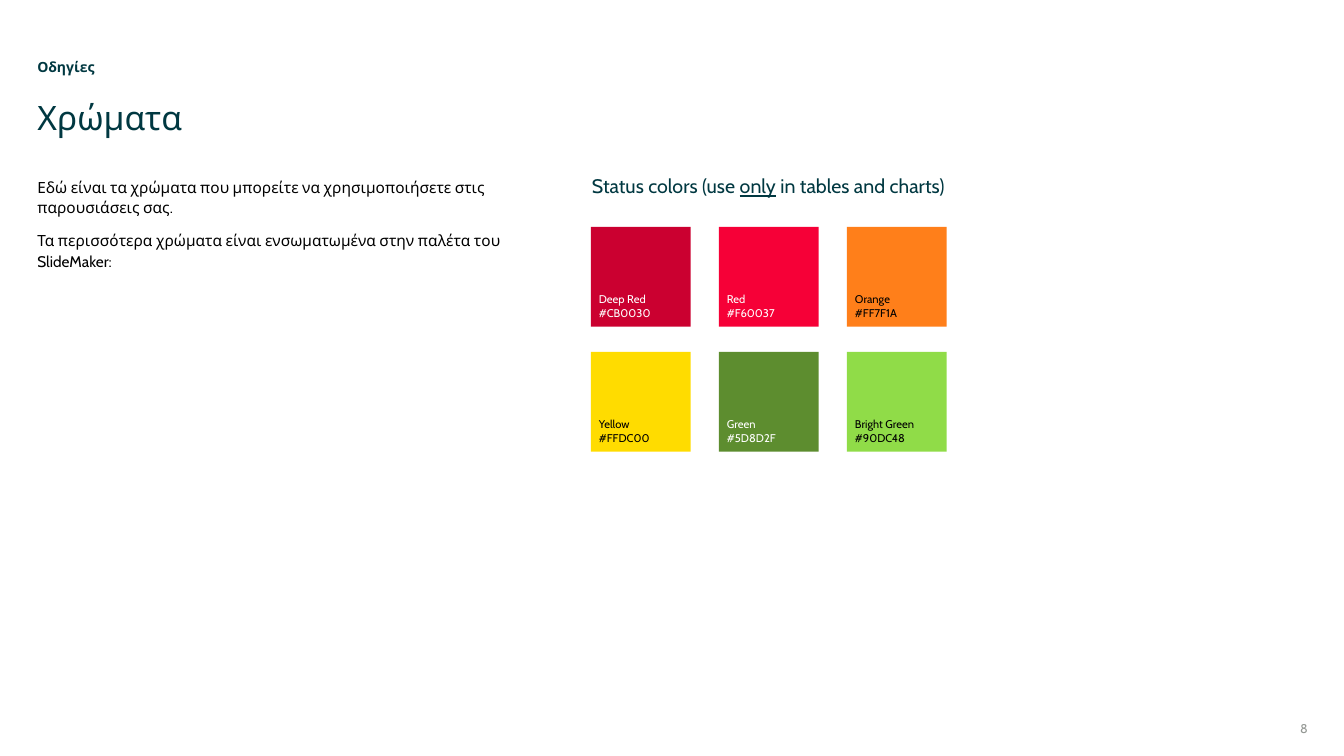
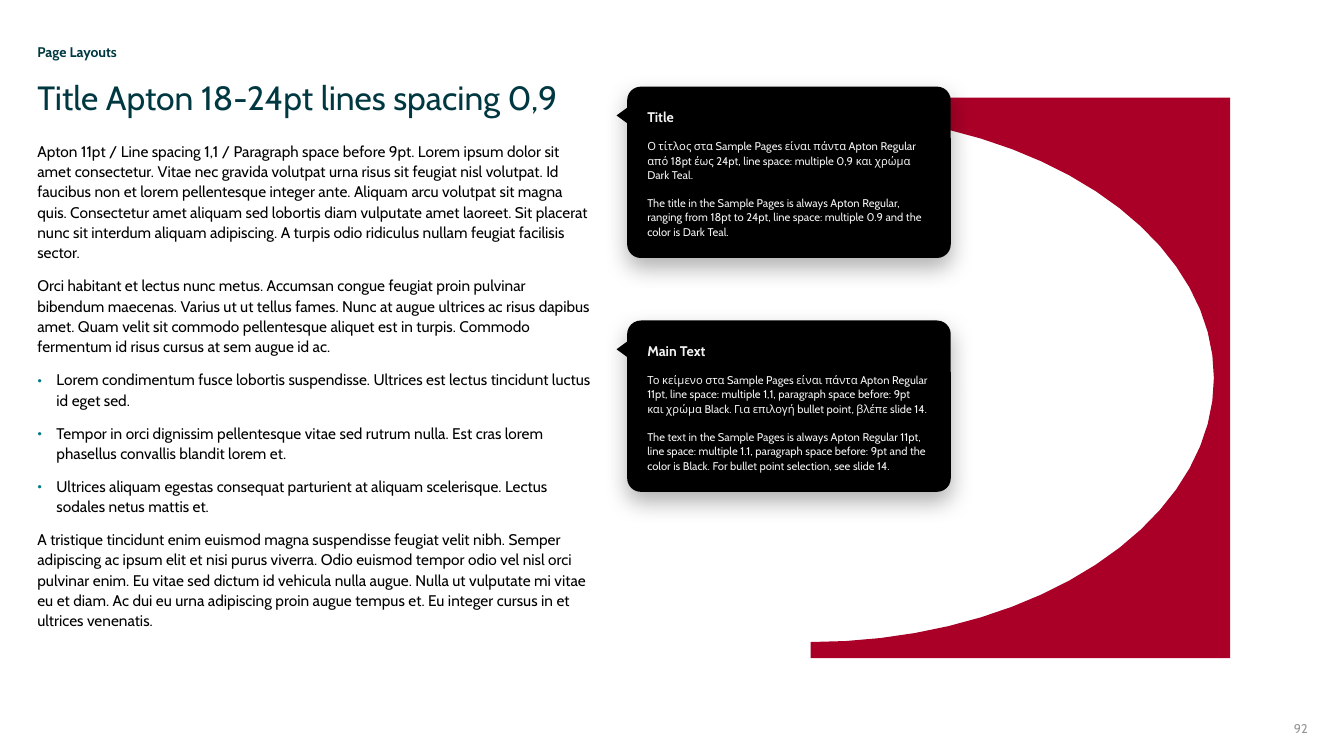
import math
from dataclasses import dataclass, replace

from lxml import etree
from pptx import Presentation
from pptx.dml.color import RGBColor
from pptx.enum.shapes import MSO_SHAPE
from pptx.enum.text import MSO_ANCHOR, MSO_AUTO_SIZE, PP_ALIGN
from pptx.oxml.ns import qn
from pptx.util import Inches, Pt

RECTANGLE = MSO_SHAPE.RECTANGLE
ROUNDED = MSO_SHAPE.ROUNDED_RECTANGLE
TRIANGLE = MSO_SHAPE.ISOSCELES_TRIANGLE
TOP, MIDDLE, BOTTOM = MSO_ANCHOR.TOP, MSO_ANCHOR.MIDDLE, MSO_ANCHOR.BOTTOM
LEFT, RIGHT = PP_ALIGN.LEFT, PP_ALIGN.RIGHT
NO_AUTOFIT = MSO_AUTO_SIZE.NONE

FONT = "Cabin"
DARK_TEAL, TEAL, CRIMSON = "003841", "007B85", "AA0028"
BLACK, WHITE, LIGHT, GRAY = "000000", "FFFFFF", "F2F2F2", "939793"
MARGIN = 0.37
COLUMN_WIDTH = 5.51


@dataclass(frozen=True)
class Style:
    """Character and paragraph formatting."""
    size: float
    color: str
    bold: bool = False
    line_spacing: float = 1.0
    space_before: float = 0
    align: PP_ALIGN = LEFT
    bullet: bool = False


EYEBROW = Style(10, DARK_TEAL, bold=True, line_spacing=0.9)
TITLE = Style(24, DARK_TEAL, line_spacing=0.9)
BODY = Style(11, BLACK, line_spacing=1.1, space_before=9)
BULLET = replace(BODY, bullet=True)
HEADING = Style(14, DARK_TEAL)
PAGE_NUMBER = Style(9, GRAY, align=RIGHT)
CARD_TITLE = Style(10, LIGHT, bold=True, line_spacing=1.1)
CARD_TEXT = Style(8, LIGHT, line_spacing=1.1, space_before=9)

SWATCHES = [
    [("Deep Red", "CB0030", WHITE), ("Red", "F60037", WHITE), ("Orange", "FF7F1A", BLACK)],
    [("Yellow", "FFDC00", BLACK), ("Green", "5D8D2F", WHITE), ("Bright Green", "90DC48", BLACK)],
]

COLOR_NOTES = [
    ("Εδώ είναι τα χρώματα που μπορείτε να χρησιμοποιήσετε στις\vπαρουσιάσεις σας.", BODY),
    ("Τα περισσότερα χρώματα είναι ενσωματωμένα στην παλέτα του SlideMaker:", BODY),
]

SAMPLE_TEXT = [
    ("Apton 11pt / Line spacing 1,1 / Paragraph space before 9pt. Lorem ipsum dolor sit amet "
     "consectetur. Vitae nec gravida volutpat urna risus sit feugiat nisl volutpat. Id faucibus "
     "non et lorem pellentesque integer ante. Aliquam arcu volutpat sit magna quis. Consectetur "
     "amet aliquam sed lobortis diam vulputate amet laoreet. Sit placerat nunc sit interdum "
     "aliquam adipiscing. A turpis odio ridiculus nullam feugiat facilisis sector.", BODY),
    ("Orci habitant et lectus nunc metus. Accumsan congue feugiat proin pulvinar bibendum "
     "maecenas. Varius ut ut tellus fames. Nunc at augue ultrices ac risus dapibus amet. Quam "
     "velit sit commodo pellentesque aliquet est in turpis. Commodo fermentum id risus cursus "
     "at sem augue id ac.", BODY),
    ("Lorem condimentum fusce lobortis suspendisse. Ultrices est lectus tincidunt luctus id "
     "eget sed.", BULLET),
    ("Tempor in orci dignissim pellentesque vitae sed rutrum nulla. Est cras lorem phasellus "
     "convallis blandit lorem et.", BULLET),
    ("Ultrices aliquam egestas consequat parturient at aliquam scelerisque. Lectus sodales "
     "netus mattis et.", BULLET),
    ("A tristique tincidunt enim euismod magna suspendisse feugiat velit nibh. Semper adipiscing "
     "ac ipsum elit et nisi purus viverra. Odio euismod tempor odio vel nisl orci pulvinar enim. "
     "Eu vitae sed dictum id vehicula nulla augue. Nulla ut vulputate mi vitae eu et diam. Ac dui "
     "eu urna adipiscing proin augue tempus et. Eu integer cursus in et ultrices venenatis.", BODY),
]

CALLOUTS = [
    (0.86, "Title", [
        "Ο τίτλος στα Sample Pages είναι πάντα Apton Regular από 18pt έως 24pt, line space: "
        "multiple 0,9 και χρώμα Dark Teal.",
        "The title in the Sample Pages is always Apton Regular, ranging from 18pt to 24pt, "
        "line space: multiple 0.9 and the color is Dark Teal."]),
    (3.18, "Main Text", [
        "Το κείμενο στα Sample Pages είναι πάντα Apton Regular 11pt, line space: multiple 1,1, "
        "paragraph space before: 9pt\vκαι χρώμα Black. Για επιλογή bullet point, βλέπε slide 14.",
        "The text in the Sample Pages is always Apton Regular 11pt, line space: multiple 1.1, "
        "paragraph space before: 9pt and the color is Black. For bullet point selection, "
        "see slide 14."]),
]


def rgb(color):
    """Turn a hex string into a colour."""
    return RGBColor.from_string(color)


def inches(*lengths):
    """Convert several lengths to inches."""
    return [Inches(length) for length in lengths]


def add_bullet(paragraph):
    """Give a paragraph a teal bullet and a hanging indent."""
    properties = paragraph._p.get_or_add_pPr()
    properties.set("marL", str(Inches(0.19)))
    properties.set("indent", str(-Inches(0.19)))
    color = etree.SubElement(properties, qn("a:buClr"))
    etree.SubElement(color, qn("a:srgbClr"), val=TEAL)
    etree.SubElement(properties, qn("a:buFont"), typeface=FONT)
    etree.SubElement(properties, qn("a:buChar"), char="•")


def add_run(paragraph, text, style, underline=False):
    """Append one formatted run."""
    run = paragraph.add_run()
    run.text = text
    font = run.font
    font.name, font.size, font.bold = FONT, Pt(style.size), style.bold
    font.color.rgb = rgb(style.color)
    if underline:
        font.underline = True


def write(shape, paragraphs, anchor=TOP, insets=(0, 0, 0, 0)):
    """Fill a shape with (text, style) paragraphs, a vertical tab breaking the line."""
    frame = shape.text_frame
    frame.auto_size, frame.word_wrap, frame.vertical_anchor = NO_AUTOFIT, True, anchor
    (frame.margin_left, frame.margin_top,
     frame.margin_right, frame.margin_bottom) = inches(*insets)
    for index, (text, style) in enumerate(paragraphs):
        paragraph = frame.add_paragraph() if index else frame.paragraphs[0]
        if style.bullet:
            add_bullet(paragraph)
        paragraph.alignment = style.align
        paragraph.line_spacing = style.line_spacing
        paragraph.space_before = Pt(style.space_before if index else 0)
        for number, line in enumerate(text.split("\v")):
            if number:
                paragraph.add_line_break()
            add_run(paragraph, line, style)


def add_text(slide, box, paragraphs, anchor=TOP):
    """Add a text box."""
    shape = slide.shapes.add_textbox(*inches(*box))
    write(shape, paragraphs, anchor)
    return shape


def paint(shape, color):
    """Give a shape a plain fill without line or shadow."""
    shape.shadow.inherit = False
    shape.fill.solid()
    shape.fill.fore_color.rgb = rgb(color)
    shape.line.fill.background()


def add_filled(shapes, kind, box, color):
    """Add a preset shape with a plain fill."""
    shape = shapes.add_shape(kind, *inches(*box))
    paint(shape, color)
    return shape


def add_soft_shadow(shape):
    """Put a soft black shadow below a shape."""
    effects = shape._element.spPr.find(qn("a:effectLst"))
    shadow = etree.SubElement(effects, qn("a:outerShdw"), blurRad=str(Pt(16.1)),
                              dist=str(Pt(7.1)), dir="5400000", algn="t", rotWithShape="0")
    color = etree.SubElement(shadow, qn("a:srgbClr"), val=BLACK)
    etree.SubElement(color, qn("a:alpha"), val="30000")


def add_page(presentation, eyebrow, eyebrow_top, title, title_top, number):
    """Add a slide with eyebrow, title and page number."""
    slide = presentation.slides.add_slide(presentation.slide_layouts[5])
    heading = slide.shapes.title
    heading.left, heading.top, heading.width, heading.height = inches(
        MARGIN, title_top, COLUMN_WIDTH, 0.37)
    write(heading, [(title, TITLE)])
    add_text(slide, (MARGIN, eyebrow_top, COLUMN_WIDTH, 0.15), [(eyebrow, EYEBROW)])
    add_text(slide, (12.22, 7.15, 0.75, 0.15), [(number, PAGE_NUMBER)], MIDDLE)
    return slide


def add_swatches(slide, left, top):
    """Lay out the status colours as a grid of labelled squares."""
    side, column_step, row_step = 0.99, 1.27, 1.24
    for row, swatches in enumerate(SWATCHES):
        for column, (name, color, text_color) in enumerate(swatches):
            box = (left + column * column_step, top + row * row_step, side, side)
            square = add_filled(slide.shapes, RECTANGLE, box, color)
            write(square, [(f"{name}\v#{color}", Style(8, text_color))], BOTTOM,
                  (0.08, 0, 0.05, 0.07))


def add_callout(slide, left, top, title, texts):
    """Add a black card with a pointer on its left side."""
    shapes = slide.shapes.add_group_shape().shapes
    card = add_filled(shapes, ROUNDED, (left, top, 3.21, 1.7), BLACK)
    card.adjustments[0] = 0.08
    add_soft_shadow(card)
    paragraphs = [(title, CARD_TITLE)] + [(text, CARD_TEXT) for text in texts]
    write(card, paragraphs, insets=(0.16, 0.16, 0.14, 0.16))
    pointer = add_filled(shapes, TRIANGLE, (left - 0.13, top + 0.23, 0.16, 0.11), BLACK)
    pointer.rotation = 270


def add_arch(slide, left, top, width, height):
    """Add a red panel with a half ellipse cut out of its left side."""
    rim, steps = 0.16, 36
    radius_x, radius_y = width - rim, height / 2 - rim
    angles = [math.pi * (0.5 - step / steps) for step in range(steps + 1)]
    curve = [(left + radius_x * math.cos(angle), top + height / 2 + radius_y * math.sin(angle))
             for angle in angles]
    corners = [(left + width, top), (left + width, top + height), (left, top + height)]
    builder = slide.shapes.build_freeform(*inches(left, top))
    builder.add_line_segments([inches(*point) for point in corners + curve])
    paint(builder.convert_to_shape(), CRIMSON)


def build_colors(presentation):
    """Build the slide on the status colours."""
    slide = add_page(presentation, "Οδηγίες", 0.6, "Χρώματα", 1.01, "8")
    add_text(slide, (MARGIN, 1.75, 5.18, 5.15), COLOR_NOTES)
    heading = add_text(slide, (5.87, 1.73, 5.01, 0.37), [("Status colors (use ", HEADING)])
    paragraph = heading.text_frame.paragraphs[0]
    add_run(paragraph, "only", HEADING, underline=True)
    add_run(paragraph, " in tables and charts)", HEADING)
    add_swatches(slide, 5.86, 2.25)


def build_layout_sample(presentation):
    """Build the sample page with its callouts."""
    slide = add_page(presentation, "Page Layouts", 0.45,
                     "Title Apton 18-24pt lines spacing 0,9", 0.81, "92")
    add_text(slide, (MARGIN, 1.39, COLUMN_WIDTH, 5.51), SAMPLE_TEXT)
    add_arch(slide, 8.04, 0.97, 4.16, 5.56)
    for top, title, texts in CALLOUTS:
        add_callout(slide, 6.22, top, title, texts)


def main():
    """Build and save the presentation."""
    presentation = Presentation()
    presentation.slide_width, presentation.slide_height = inches(13.33, 7.5)
    build_colors(presentation)
    build_layout_sample(presentation)
    presentation.save("out.pptx")


if __name__ == "__main__":
    main()
